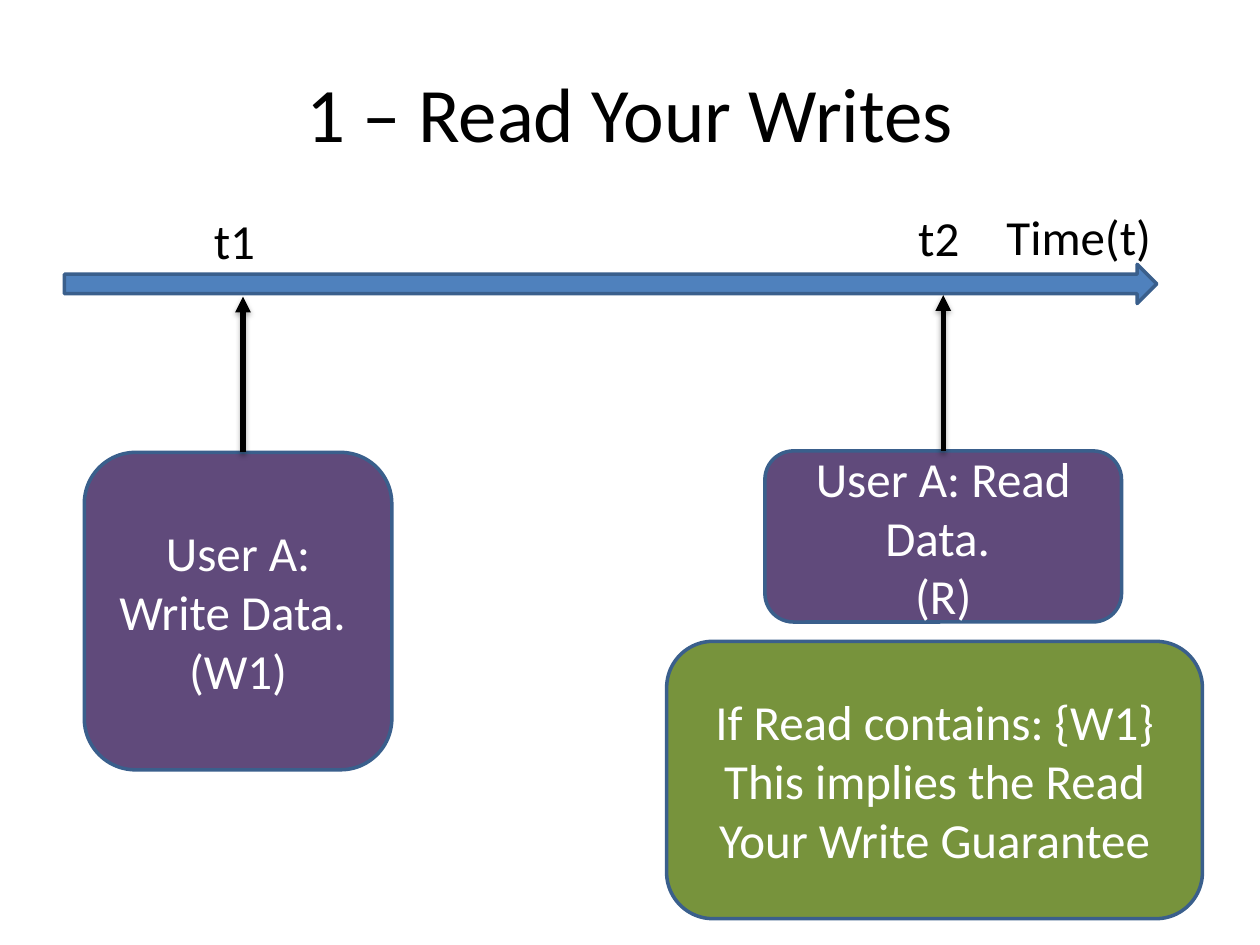
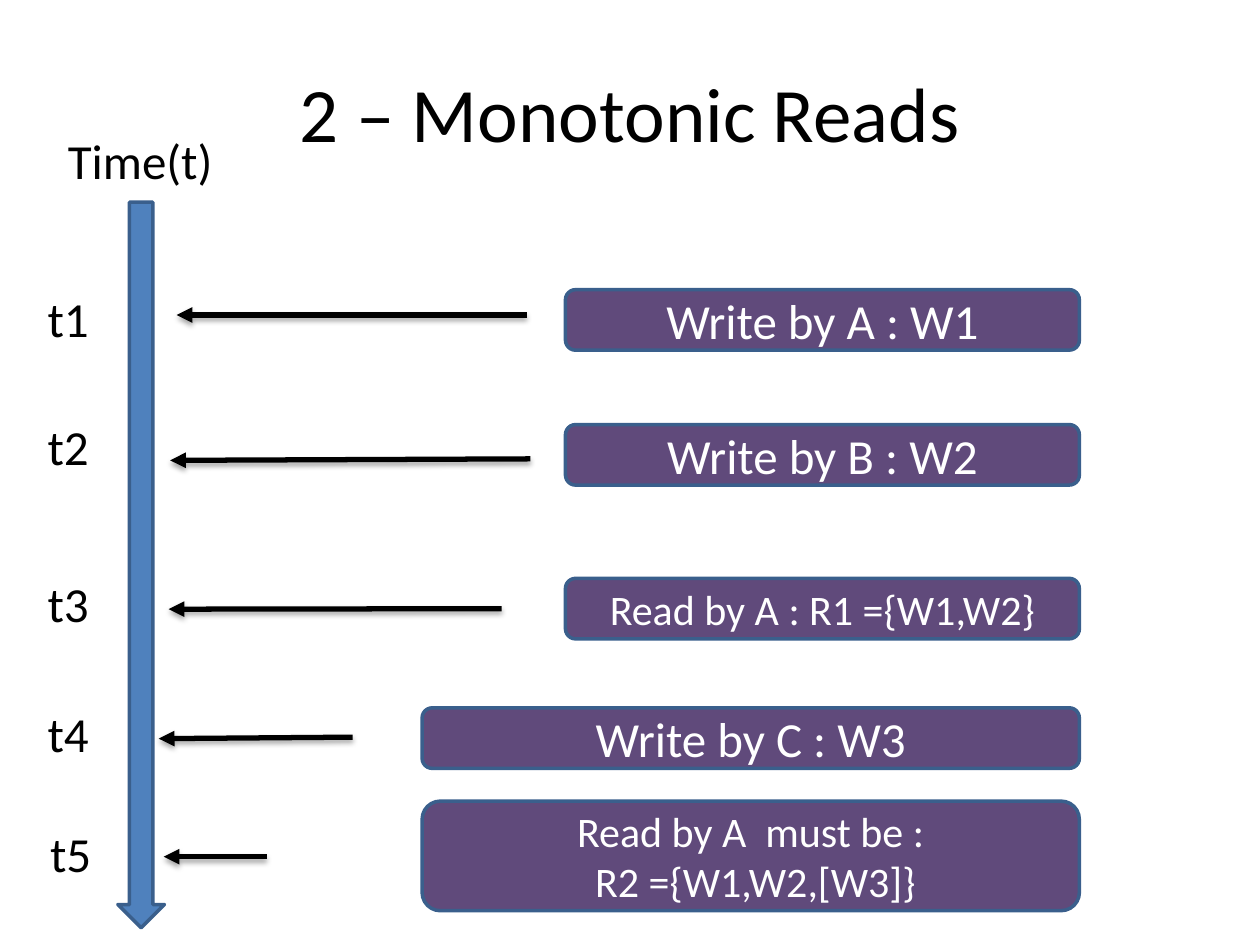
import pptx
import pptx.util
import pptx.dml.color
import pptx.enum.shapes
import pptx.enum.text
import pptx.oxml
import pptx.oxml.ns

Cm = pptx.util.Cm
Pt = pptx.util.Pt
RGBColor = pptx.dml.color.RGBColor
MSO_SHAPE = pptx.enum.shapes.MSO_SHAPE
PP_ALIGN = pptx.enum.text.PP_ALIGN
MSO_ANCHOR = pptx.enum.text.MSO_ANCHOR

BLACK = RGBColor(0x00, 0x00, 0x00)
WHITE = RGBColor(0xFF, 0xFF, 0xFF)
BLUE = RGBColor(0x4F, 0x81, 0xBD)
OUTLINE = RGBColor(0x3A, 0x5F, 0x8C)
PURPLE = RGBColor(0x60, 0x4A, 0x7B)
GREEN = RGBColor(0x77, 0x93, 0x3C)
FONT = "Calibri"
LABEL_HEIGHT = 1.45
MARK_WIDTH = 1.35
TIME_WIDTH = 3.45

ARROWHEAD = '<a:tailEnd %s type="triangle"/>' % pptx.oxml.ns.nsdecls("a")
SOFT_SHADOW = (
    '<a:effectLst %s><a:outerShdw blurRad="39370" dist="22860" dir="5400000" '
    'rotWithShape="0"><a:srgbClr val="000000"><a:alpha val="35000"/></a:srgbClr>'
    '</a:outerShdw></a:effectLst>' % pptx.oxml.ns.nsdecls("a")
)


def write(tf, text, size=28, color=BLACK, align=PP_ALIGN.LEFT, anchor=MSO_ANCHOR.TOP):
    tf.vertical_anchor = anchor
    for i, line in enumerate(text.split("\n")):
        p = tf.paragraphs[0] if i == 0 else tf.add_paragraph()
        p.alignment = align
        r = p.add_run()
        r.text = line
        r.font.name = FONT
        r.font.size = Pt(size)
        r.font.color.rgb = color


def add_titled_slide(prs, title):
    s = prs.slides.add_slide(prs.slide_layouts[5])
    sp = s.shapes.title
    sp.left, sp.top, sp.width, sp.height = Cm(1.27), Cm(0.66), Cm(22.86), Cm(3.18)
    write(sp.text_frame, title, size=44, align=PP_ALIGN.CENTER, anchor=MSO_ANCHOR.MIDDLE)
    return s


def add_label(s, text, left, top, width=MARK_WIDTH):
    sp = s.shapes.add_textbox(Cm(left), Cm(top), Cm(width), Cm(LABEL_HEIGHT))
    tf = sp.text_frame
    tf.word_wrap = False
    tf.auto_size = pptx.enum.text.MSO_AUTO_SIZE.SHAPE_TO_FIT_TEXT
    write(tf, text)


def add_filled(s, kind, box, fill):
    sp = s.shapes.add_shape(kind, *[Cm(v) for v in box])
    sp.shadow.inherit = False
    sp.fill.solid()
    sp.fill.fore_color.rgb = fill
    sp.line.color.rgb = OUTLINE
    sp.line.width = Pt(2)
    return sp


def add_card(s, box, text, fill=PURPLE, size=28):
    sp = add_filled(s, MSO_SHAPE.ROUNDED_RECTANGLE, box, fill)
    sp.text_frame.word_wrap = True
    write(sp.text_frame, text, size=size, color=WHITE,
          align=PP_ALIGN.CENTER, anchor=MSO_ANCHOR.MIDDLE)
    return sp


def add_arrow(s, x1, y1, x2, y2):
    c = s.shapes.add_connector(pptx.enum.shapes.MSO_CONNECTOR.STRAIGHT,
                               Cm(x1), Cm(y1), Cm(x2), Cm(y2))
    c.line.color.rgb = BLACK
    c.line.width = Pt(3)
    c.line._get_or_add_ln().append(pptx.oxml.parse_xml(ARROWHEAD))
    c._element.spPr.append(pptx.oxml.parse_xml(SOFT_SHADOW))
    return c


def add_time_axis(s, box, label_at, rotation=0):
    add_label(s, "Time(t)", *label_at, width=TIME_WIDTH)
    sp = add_filled(s, MSO_SHAPE.RIGHT_ARROW, box, BLUE)
    sp.rotation = rotation


def add_event_below_axis(s, box, text, mark, mark_at, stem_shift=0):
    left, top, width, height = box
    stem = left + width / 2 + stem_shift
    card = add_card(s, box, text)
    arrow = add_arrow(s, stem, top, stem, top - 3.14)
    if not stem_shift:
        arrow.begin_connect(card, 0)
    add_label(s, mark, *mark_at)


def add_event_beside_axis(s, box, text, mark, mark_at, arrow_x, arrow_dy, size=28, drop=0):
    y = box[1] + arrow_dy
    add_card(s, box, text, size=size)
    add_arrow(s, arrow_x[0], y, arrow_x[1], y + drop)
    add_label(s, mark, *mark_at)


def build_read_your_writes(prs):
    s = add_titled_slide(prs, "1 – Read Your Writes")
    add_time_axis(s, (1.3, 5.33, 22.02, 0.79), (20.04, 4.04))
    add_event_below_axis(s, (1.7, 9.12, 6.2, 6.4), "User A: Write Data. \n(W1)",
                         "t1", (4.06, 4.11), stem_shift=0.1)
    add_event_below_axis(s, (15.42, 9.09, 7.19, 3.45), "User A: Read Data. \n(R)",
                         "t2", (18.26, 4.06))
    add_card(s, (13.44, 12.93, 10.8, 5.59),
             "If Read contains: {W1}\nThis implies the Read Your Write Guarantee", fill=GREEN)


def build_monotonic_reads(prs):
    s = add_titled_slide(prs, "2 – Monotonic Reads")
    add_time_axis(s, (-4.47, 10.92, 14.63, 0.94), (1.12, 2.51), rotation=90)
    right, row = 21.76, 1.22
    events = [
        ("Write by A : W1", 28, 5.84, 10.36, row, (0.71, 5.69), (10.62, 3.56), 0.51, 0),
        ("Write by B : W2", 28, 8.56, 10.36, row, (0.71, 8.28), (10.69, 3.43), 0.69, 0.03),
        ("Read by A : R1 ={W1,W2}", 24, 11.66, 10.36, row, (0.71, 11.43), (10.11, 3.4), 0.61, 0.01),
        ("Write by C : W3", 28, 14.27, 13.25, row, (0.71, 14.05), (7.11, 3.2), 0.59, 0.03),
        ("Read by A  must be :\n R2 ={W1,W2,[W3]}", 24, 16.15, 13.25, 2.21,
         (0.76, 16.48), (5.38, 3.3), 1.12, 0),
    ]
    for n, (text, size, top, width, height, mark_at, arrow_x, dy, drop) in enumerate(events, 1):
        add_event_beside_axis(s, (right - width, top, width, height), text, f"t{n}",
                              mark_at, arrow_x, dy, size=size, drop=drop)


def main():
    prs = pptx.Presentation()
    prs.slide_width, prs.slide_height = Cm(25.4), Cm(19.05)
    build_read_your_writes(prs)
    build_monotonic_reads(prs)
    prs.save("out.pptx")


if __name__ == "__main__":
    main()
